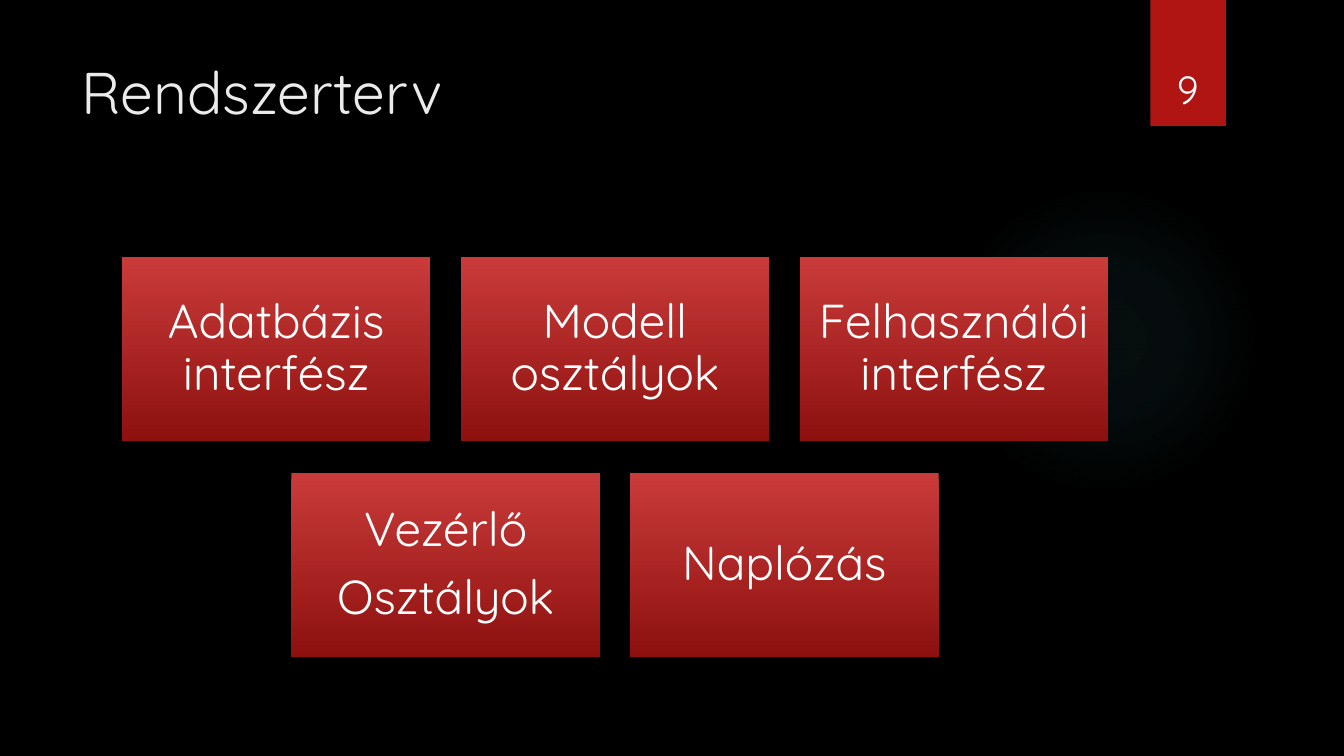
from lxml import etree
from pptx import Presentation
from pptx.dml.color import RGBColor
from pptx.enum.shapes import MSO_SHAPE
from pptx.enum.text import MSO_ANCHOR, PP_ALIGN
from pptx.oxml import parse_xml
from pptx.util import Inches, Pt

RECTANGLE, OVAL = MSO_SHAPE.RECTANGLE, MSO_SHAPE.OVAL
TOP, MIDDLE, BOTTOM = MSO_ANCHOR.TOP, MSO_ANCHOR.MIDDLE, MSO_ANCHOR.BOTTOM
LEFT, CENTER = PP_ALIGN.LEFT, PP_ALIGN.CENTER
FONT = "Quicksand"
NAMESPACE = "http://schemas.openxmlformats.org/drawingml/2006/main"
COLORS = {
    "background": "000000",
    "title": "EBEBEB",
    "text": "FFFFFF",
    "ribbon": "B01513",
    "box_top": "C93B3A",
    "box_bottom": "8D110F",
    "glow": "50B9C1",
}

presentation = Presentation()
presentation.slide_width = Inches(13.33)
presentation.slide_height = Inches(7.5)
slide = presentation.slides.add_slide(presentation.slide_layouts[6])
slide.background.fill.solid()
slide.background.fill.fore_color.rgb = RGBColor.from_string(COLORS["background"])


def add_shape(kind, left, top, width, height):
    shape = slide.shapes.add_shape(
        kind, Inches(left), Inches(top), Inches(width), Inches(height))
    shape.shadow.inherit = False
    shape.line.fill.background()
    return shape


def write_text(shape, lines, size, color, alignment, anchor):
    frame = shape.text_frame
    frame.word_wrap = True
    frame.vertical_anchor = anchor
    for index, line in enumerate(lines):
        paragraph = frame.add_paragraph() if index else frame.paragraphs[0]
        paragraph.alignment = alignment
        run = paragraph.add_run()
        run.text = line
        run.font.size = Pt(size)
        run.font.name = FONT
        run.font.color.rgb = RGBColor.from_string(COLORS[color])
    return frame


glow = add_shape(OVAL, 9.41, 1.83, 3.08, 3.08)
glow.fill.gradient()
stops = "".join(
    f'<a:gs pos="{position * 1000}"><a:srgbClr val="{COLORS["glow"]}">'
    f'<a:alpha val="{alpha * 1000}"/></a:srgbClr></a:gs>'
    for position, alpha in [(0, 7), (36, 6), (69, 0)])
glow_fill = parse_xml(
    f'<a:gradFill xmlns:a="{NAMESPACE}"><a:gsLst>{stops}</a:gsLst>'
    '<a:path path="circle"><a:fillToRect l="50000" t="50000" r="50000" b="50000"/>'
    '</a:path></a:gradFill>')
old_fill = glow.element.spPr.find(etree.QName(NAMESPACE, "gradFill").text)
glow.element.spPr.replace(old_fill, glow_fill)

ribbon = add_shape(RECTANGLE, 11.41, 0, 0.75, 1.25)
ribbon.fill.solid()
ribbon.fill.fore_color.rgb = RGBColor.from_string(COLORS["ribbon"])

title = slide.shapes.add_textbox(Inches(0.71), Inches(0.5), Inches(10.29), Inches(1.53))
write_text(title, ["Rendszerterv"], 42, "title", LEFT, TOP)

BOX_WIDTH, BOX_HEIGHT, GAP = 3.06, 1.83, 0.3
ROWS_CENTER, ROWS_TOP = 6.1, 2.55
rows = [
    [["Adatbázis interfész"], ["Modell osztályok"], ["Felhasználói interfész"]],
    [["Vezérlő", "Osztályok"], ["Naplózás"]],
]
for row_index, row in enumerate(rows):
    row_width = len(row) * (BOX_WIDTH + GAP) - GAP
    row_top = ROWS_TOP + row_index * (BOX_HEIGHT + GAP + 0.01)
    for column, lines in enumerate(row):
        left = ROWS_CENTER - row_width / 2 + column * (BOX_WIDTH + GAP)
        box = add_shape(RECTANGLE, left, row_top, BOX_WIDTH, BOX_HEIGHT)
        box.fill.gradient()
        box.fill.gradient_angle = 270
        for stop, position, color in zip(
                box.fill.gradient_stops, (0, 1), ("box_top", "box_bottom")):
            stop.position = position
            stop.color.rgb = RGBColor.from_string(COLORS[color])
        frame = write_text(box, lines, 34, "text", CENTER, MIDDLE)
        frame.margin_left = frame.margin_right = Inches(0.14)
        frame.margin_top = frame.margin_bottom = Inches(0.14)
        for paragraph in frame.paragraphs:
            paragraph.line_spacing = 0.9
            paragraph.space_after = Pt(12)

number = slide.shapes.add_textbox(Inches(11.32), Inches(0.32), Inches(0.92), Inches(0.84))
write_text(number, ["9"], 28, "text", CENTER, BOTTOM)

presentation.save("out.pptx")
